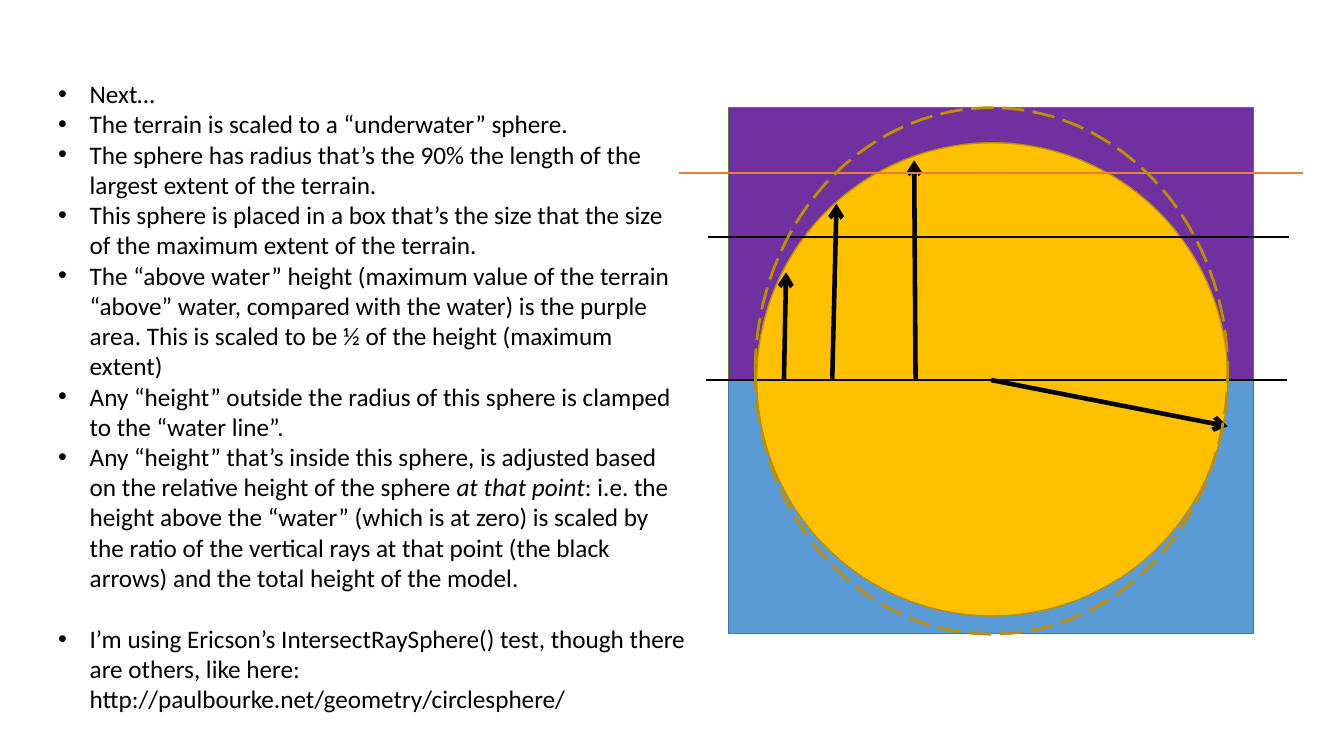
from dataclasses import dataclass

from lxml import etree
from pptx import Presentation
from pptx.dml.color import RGBColor
from pptx.enum import dml, shapes, text
from pptx.oxml import ns
from pptx.util import Pt


@dataclass(frozen=True)
class Theme:
    font: str = "Calibri"
    size: float = 18
    ink: str = "000000"
    water: str = "5B9BD5"
    shore: str = "43739E"
    land: str = "7030A0"
    edge: str = "538035"
    globe: str = "FFC000"
    rim: str = "BD8E00"
    mark: str = "ED7D31"
    thin: float = 1
    rule: float = 1.5
    dash: float = 2
    ray: float = 3.25


THEME = Theme()
INDENT = 22.5
GAP = 22  # one text line before the closing note

# Each point is a list of (wording, italic) runs
POINTS = [
    [("Next…", False)],
    [("The terrain is scaled to a “underwater” sphere.", False)],
    [("The sphere has radius that’s the 90% the length of the largest "
      "extent of the terrain.", False)],
    [("This sphere is placed in a box that’s the size that the size of "
      "the maximum extent of the terrain.", False)],
    [("The “above water” height (maximum value of the terrain “above” "
      "water, compared with the water) is the purple area. This is scaled "
      "to be ½ of the height (maximum extent)", False)],
    [("Any “height” outside the radius of this sphere is clamped to the "
      "“water line”.", False)],
    [("Any “height” that’s inside this sphere, is adjusted based on the "
      "relative height of the sphere ", False),
     ("at that point", True),
     (": i.e. the height above the “water” (which is at zero) is scaled by "
      "the ratio of the vertical rays at that point (the black arrows) and "
      "the total height of the model.", False)],
    [("I’m using Ericson’s IntersectRaySphere() test, though there are "
      "others, like here: http://paulbourke.net/geometry/circlesphere/",
      False)],
]


def color(code):
    return RGBColor.from_string(code)


def add_form(slide, kind, box, fill, line, width):
    form = slide.shapes.add_shape(kind, *map(Pt, box))
    form.shadow.inherit = False
    if fill:
        form.fill.solid()
        form.fill.fore_color.rgb = color(fill)
    else:
        form.fill.background()
    form.line.color.rgb = color(line)
    form.line.width = Pt(width)
    return form


def add_line(slide, start, end, ink, width, head=False):
    line = slide.shapes.add_connector(
        shapes.MSO_CONNECTOR.STRAIGHT, *map(Pt, (*start, *end)))
    line.line.color.rgb = color(ink)
    line.line.width = Pt(width)
    if head:
        tip = etree.SubElement(line.line._get_or_add_ln(), ns.qn("a:tailEnd"))
        tip.set("type", "arrow")
    etree.SubElement(line._element.spPr, ns.qn("a:effectLst"))


def set_bullet(para):
    props = para._p.get_or_add_pPr()
    props.set("marL", str(Pt(INDENT)))
    props.set("indent", str(-Pt(INDENT)))
    face = etree.SubElement(props, ns.qn("a:buFont"))
    face.set("typeface", "Arial")
    etree.SubElement(props, ns.qn("a:buChar")).set("char", "•")


def add_list(slide, box, points):
    frame = slide.shapes.add_textbox(*map(Pt, box)).text_frame
    frame.word_wrap = True
    frame.auto_size = text.MSO_AUTO_SIZE.SHAPE_TO_FIT_TEXT
    for i, point in enumerate(points):
        para = frame.add_paragraph() if i else frame.paragraphs[0]
        if i == len(points) - 1:
            para.space_before = Pt(GAP)
        set_bullet(para)
        for words, slant in point:
            run = para.add_run()
            run.text = words
            run.font.name = THEME.font
            run.font.size = Pt(THEME.size)
            run.font.italic = slant
            run.font.color.rgb = color(THEME.ink)


def main():
    deck = Presentation()
    deck.slide_width, deck.slide_height = Pt(960), Pt(540)
    slide = deck.slides.add_slide(deck.slide_layouts[6])
    rect, oval = shapes.MSO_SHAPE.RECTANGLE, shapes.MSO_SHAPE.OVAL

    # Box, land above water, and sphere
    add_form(slide, rect, (520.5, 77.5, 375, 375),
             THEME.water, THEME.shore, THEME.thin)
    add_form(slide, rect, (520.5, 77, 375, 195),
             THEME.land, THEME.edge, THEME.thin)
    add_form(slide, oval, (540.5, 102, 336.5, 338),
             THEME.globe, THEME.rim, THEME.thin)

    # Half height and water line
    for left, level in ((505.5, 169.5), (504, 271.5)):
        add_line(slide, (left, level), (left + 415, level),
                 THEME.ink, THEME.rule)

    # Explanation
    add_list(slide, (34.5, 52.5, 462.5, 487.5), POINTS)

    # Radius, vertical rays, and height mark
    rays = [((708, 271.5), (877, 304.5)), ((560, 271), (561.5, 194.5)),
            ((654, 271), (653, 114.5)), ((594.5, 271.5), (597.5, 145.5))]
    for start, end in rays:
        add_line(slide, start, end, THEME.ink, THEME.ray, head=True)
    add_line(slide, (485, 123.5), (931, 123.5), THEME.mark, THEME.rule)

    # Stretched outline
    ring = add_form(slide, oval, (539.5, 77, 337.5, 376),
                    None, THEME.rim, THEME.dash)
    ring.line.dash_style = dml.MSO_LINE.LONG_DASH

    deck.save("out.pptx")


if __name__ == "__main__":
    main()
